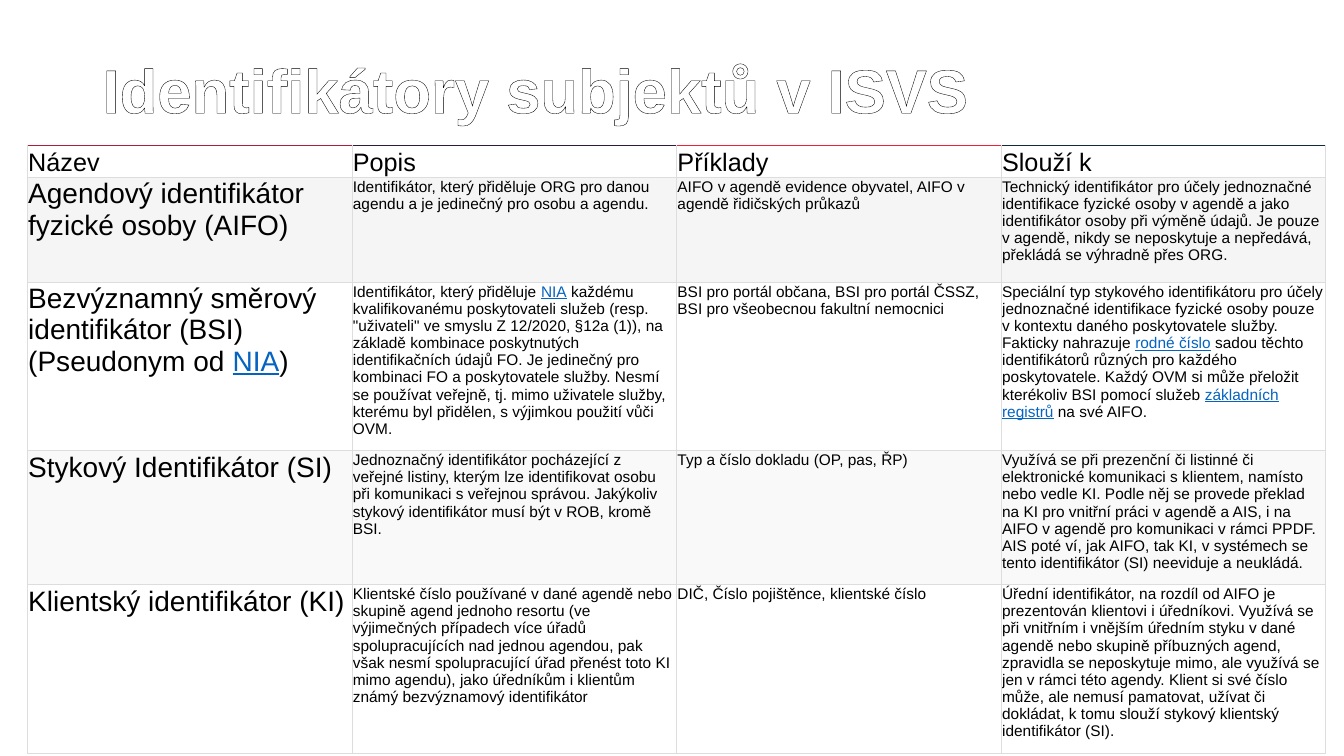
from pptx import Presentation
from pptx.dml.color import RGBColor
from pptx.enum.text import MSO_ANCHOR
from pptx.oxml import parse_xml
from pptx.oxml.ns import nsdecls
from pptx.util import Inches, Pt

TOP, MIDDLE, BOTTOM = MSO_ANCHOR.TOP, MSO_ANCHOR.MIDDLE, MSO_ANCHOR.BOTTOM

HEADINGS = ["Název", "Popis", "Příklady", "Slouží k"]
HEADING_TOPS = ["B01D3B", "301B3B", "F0203B", "102A3B"]

# Text between bars is a link
IDENTIFIERS = [
    ["Agendový identifikátor fyzické osoby (AIFO)",
     "Identifikátor, který přiděluje ORG pro danou agendu a je jedinečný pro osobu a agendu.",
     "AIFO v agendě evidence obyvatel, AIFO v agendě řidičských průkazů",
     "Technický identifikátor pro účely jednoznačné identifikace fyzické osoby v agendě a jako "
     "identifikátor osoby při výměně údajů. Je pouze v agendě, nikdy se neposkytuje a nepředává, "
     "překládá se výhradně přes ORG."],
    ["Bezvýznamný směrový identifikátor (BSI) (Pseudonym od |NIA|)",
     "Identifikátor, který přiděluje |NIA| každému kvalifikovanému poskytovateli služeb (resp. "
     "\"uživateli\" ve smyslu Z 12/2020, §12a (1)), na základě kombinace poskytnutých "
     "identifikačních údajů FO. Je jedinečný pro kombinaci FO a poskytovatele služby. Nesmí se "
     "používat veřejně, tj. mimo uživatele služby, kterému byl přidělen, s výjimkou použití "
     "vůči OVM.",
     "BSI pro portál občana, BSI pro portál ČSSZ, BSI pro všeobecnou fakultní nemocnici",
     "Speciální typ stykového identifikátoru pro účely jednoznačné identifikace fyzické osoby "
     "pouze v kontextu daného poskytovatele služby. Fakticky nahrazuje |rodné číslo| sadou "
     "těchto identifikátorů různých pro každého poskytovatele. Každý OVM si může přeložit "
     "kterékoliv BSI pomocí služeb |základních registrů| na své AIFO."],
    ["Stykový Identifikátor (SI)",
     "Jednoznačný identifikátor pocházející z veřejné listiny, kterým lze identifikovat osobu "
     "při komunikaci s veřejnou správou. Jakýkoliv stykový identifikátor musí být v ROB, "
     "kromě BSI.",
     "Typ a číslo dokladu (OP, pas, ŘP)",
     "Využívá se při prezenční či listinné či elektronické komunikaci s klientem, namísto nebo "
     "vedle KI. Podle něj se provede překlad na KI pro vnitřní práci v agendě a AIS, i na AIFO "
     "v agendě pro komunikaci v rámci PPDF. AIS poté ví, jak AIFO, tak KI, v systémech se tento "
     "identifikátor (SI) neeviduje a neukládá."],
    ["Klientský identifikátor (KI)",
     "Klientské číslo používané v dané agendě nebo skupině agend jednoho resortu (ve výjimečných "
     "případech více úřadů spolupracujících nad jednou agendou, pak však nesmí spolupracující "
     "úřad přenést toto KI mimo agendu), jako úředníkům i klientům známý bezvýznamový "
     "identifikátor",
     "DIČ, Číslo pojištěnce, klientské číslo",
     "Úřední identifikátor, na rozdíl od AIFO je prezentován klientovi i úředníkovi. Využívá se "
     "při vnitřním i vnějším úředním styku v dané agendě nebo skupině příbuzných agend, "
     "zpravidla se neposkytuje mimo, ale využívá se jen v rámci této agendy. Klient si své číslo "
     "může, ale nemusí pamatovat, užívat či dokládat, k tomu slouží stykový klientský "
     "identifikátor (SI)."],
]
ROW_HEIGHTS = [0.31, 1.04, 1.62, 1.33, 1.55]
ROW_FILLS = ["FFFFFF", "F5F5F5", "FFFFFF", "F9F9F9", "FFFFFF"]


def color(value):
    return RGBColor.from_string(value)


def line_xml(tag, value, points):
    return parse_xml(
        f'<a:{tag} {nsdecls("a")} w="{Pt(points)}"><a:solidFill>'
        f'<a:srgbClr val="{value}"/></a:solidFill></a:{tag}>')


class IdentifierSlide:
    FONT, INK, LINK, GRID = "Arial", "000000", "0563C1", "DDDDDD"
    CELL_INSET = 0.01

    def __init__(self, presentation):
        self.slide = presentation.slides.add_slide(presentation.slide_layouts[6])

    def run(self, paragraph, text, size, ink):
        run = paragraph.add_run()
        run.text = text
        run.font.name, run.font.size = self.FONT, Pt(size)
        run.font.color.rgb = color(ink)
        return run

    def title(self, text, left, top, width, height):
        box = self.slide.shapes.add_textbox(*map(Inches, (left, top, width, height)))
        frame = box.text_frame
        frame.word_wrap = True
        frame.vertical_anchor = MIDDLE
        paragraph = frame.paragraphs[0]
        paragraph.line_spacing = 0.9
        run = self.run(paragraph, text, 44, "FFFFFF")
        run.font.bold = True
        run.font._element.insert(0, line_xml("ln", self.INK, 0.75))

    def cell(self, cell, text, size, fill, anchor, top_line):
        cell.margin_left = cell.margin_right = Inches(self.CELL_INSET)
        cell.margin_top = cell.margin_bottom = Inches(self.CELL_INSET)
        cell.vertical_anchor = anchor
        cell.fill.solid()
        cell.fill.fore_color.rgb = color(fill)
        borders = {"lnL": self.GRID, "lnR": self.GRID, "lnT": top_line, "lnB": self.GRID}
        for place, (side, ink) in enumerate(borders.items()):
            cell._tc.tcPr.insert(place, line_xml(side, ink, 0.6))
        for index, part in enumerate(text.split("|")):
            is_link = index % 2 == 1
            run = self.run(cell.text_frame.paragraphs[0], part, size,
                           self.LINK if is_link else self.INK)
            if is_link:
                run.font.underline = True

    def table(self, left, top, column_width):
        rows = [HEADINGS] + IDENTIFIERS
        frame = self.slide.shapes.add_table(
            len(rows), len(HEADINGS), Inches(left), Inches(top),
            Inches(column_width * len(HEADINGS)), Inches(sum(ROW_HEIGHTS)))
        table = frame.table
        table.first_row = table.horz_banding = False
        for column in table.columns:
            column.width = Inches(column_width)
        for r, texts in enumerate(rows):
            table.rows[r].height = Inches(ROW_HEIGHTS[r])
            for c, text in enumerate(texts):
                if r == 0:
                    size, anchor, top_line = 18, BOTTOM, HEADING_TOPS[c]
                else:
                    size, anchor, top_line = 20 if c == 0 else 11, TOP, self.GRID
                self.cell(table.cell(r, c), text, size, ROW_FILLS[r], anchor, top_line)


def main():
    presentation = Presentation()
    presentation.slide_width, presentation.slide_height = Inches(13.33), Inches(7.5)
    page = IdentifierSlide(presentation)
    # Heading
    page.title("Identifikátory subjektů v ISVS", 0.92, 0.2, 11.5, 1.45)
    # Overview of identifiers
    page.table(0.27, 1.44, 3.22)
    presentation.save("out.pptx")


if __name__ == "__main__":
    main()
